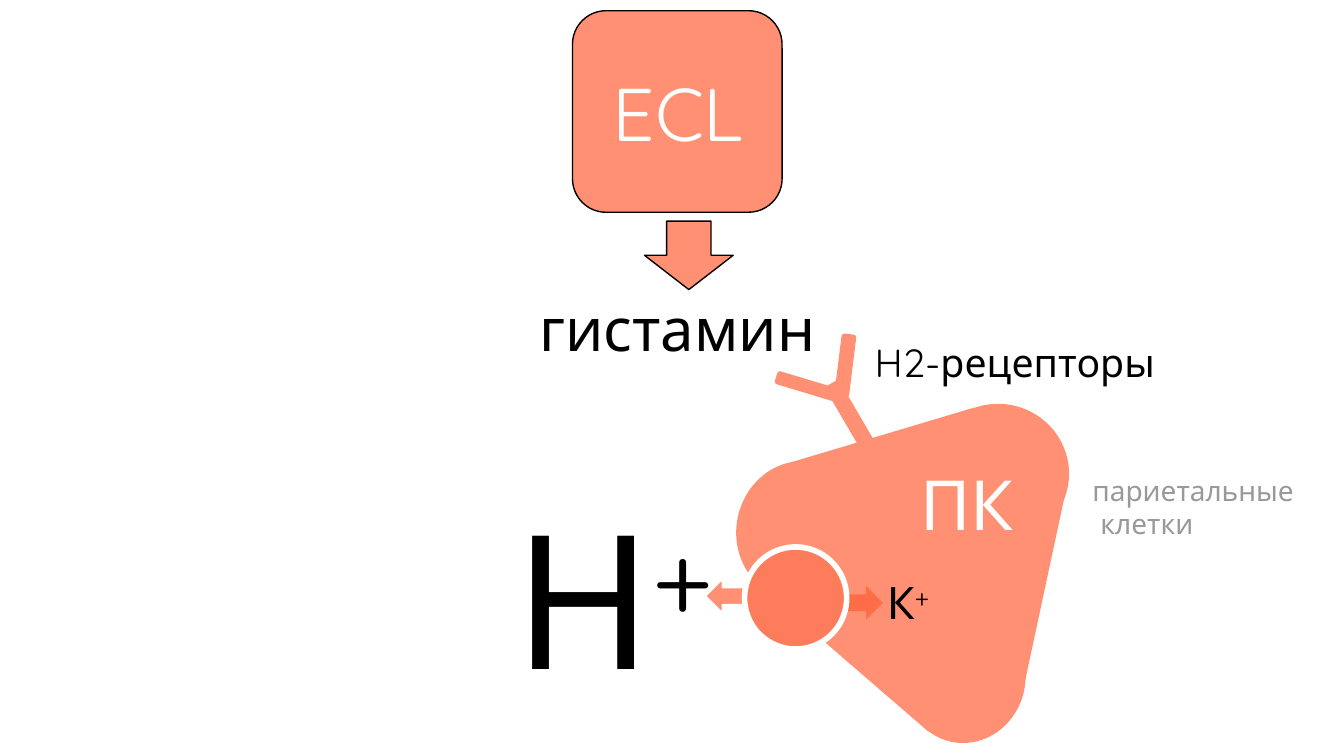
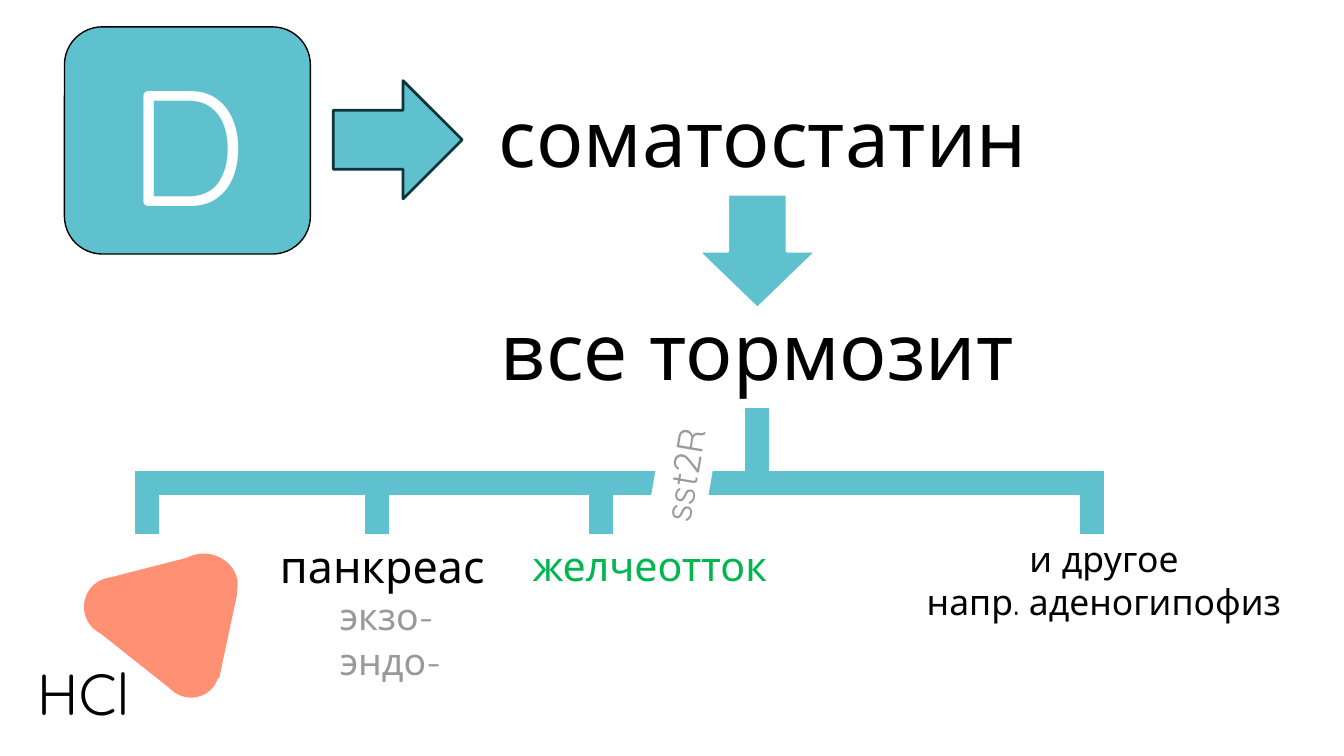
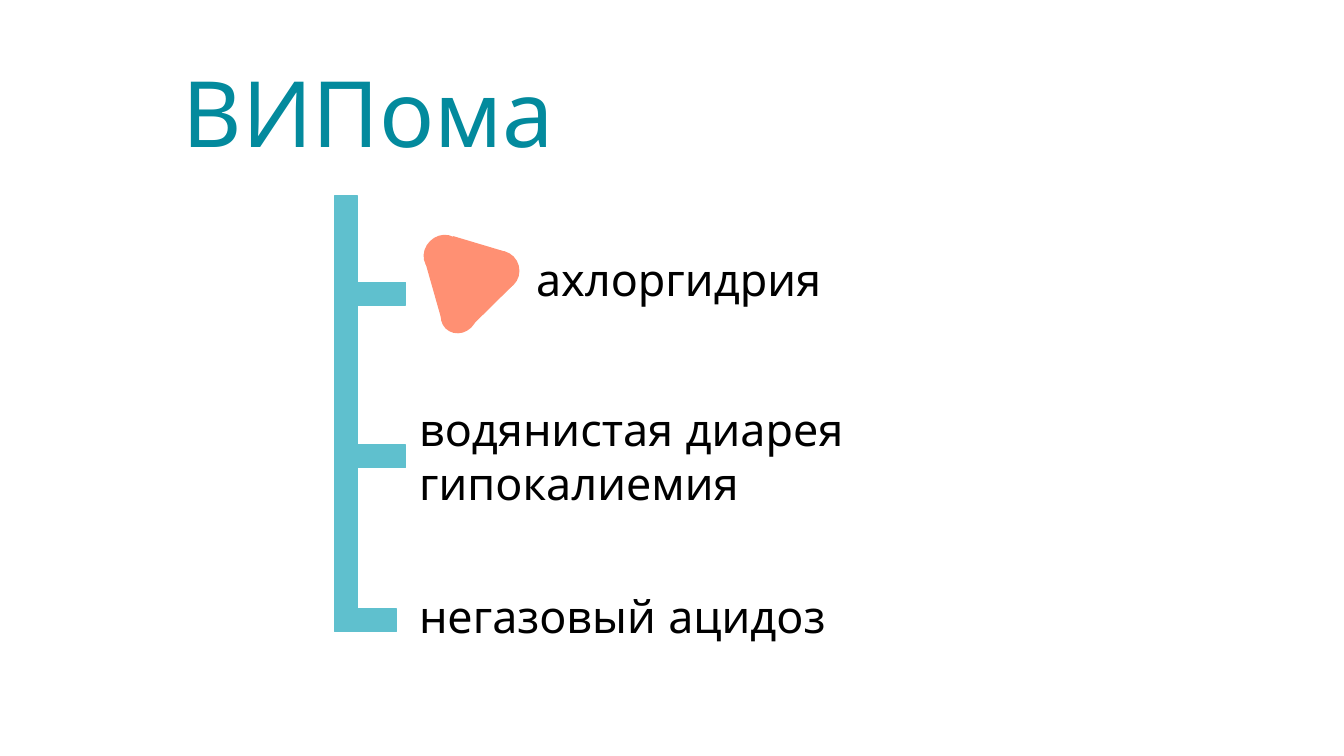
from pptx import Presentation
from pptx.dml.color import RGBColor
from pptx.enum.shapes import MSO_SHAPE as Preset
from pptx.enum.text import MSO_ANCHOR as Anchor, MSO_AUTO_SIZE as AutoSize, PP_ALIGN as Align
from pptx.util import Inches, Pt

FONT = "Quicksand"
BLACK, WHITE, GREY = "000000", "FFFFFF", "999999"
CORAL, DEEP_CORAL, PUMP = "FF9073", "FE6D47", "FD7C5B"
TEAL, DARK_TEAL, HEADING, GREEN = "5FC0CE", "0C343D", "038A9D", "00B64F"
BAR = 0.17
BRANCH = 0.46


def color(hex_code):
    return RGBColor.from_string(hex_code)


def write(holder, text, size=24, ink=BLACK, align=Align.LEFT, superscript=""):
    frame = holder.text_frame
    frame.word_wrap = True
    frame.auto_size = AutoSize.NONE
    frame.vertical_anchor = Anchor.MIDDLE
    frame.margin_left = frame.margin_right = Inches(0.1)
    frame.margin_top = frame.margin_bottom = Inches(0.1)
    for number, line in enumerate(text.split("\n")):
        paragraph = frame.add_paragraph() if number else frame.paragraphs[0]
        paragraph.alignment = align
        for part in filter(None, (line, superscript)):
            run = paragraph.add_run()
            run.text = part
            run.font.name = FONT
            run.font.size = Pt(size)
            run.font.color.rgb = color(ink)
            if part == superscript:
                run._r.get_or_add_rPr().set("baseline", "30000")
    return frame.paragraphs


class Deck:
    def __init__(self):
        self.show = Presentation()
        self.show.slide_width = Inches(10)
        self.show.slide_height = Inches(10) * 9 // 16
        self.slide = None

    def start(self, heading, box, **style):
        self.slide = self.show.slides.add_slide(self.show.slide_layouts[5])
        title = self.slide.shapes.title
        title.left, title.top, title.width, title.height = map(Inches, box)
        write(title, heading, **style)

    def label(self, text, box, **style):
        return write(self.slide.shapes.add_textbox(*map(Inches, box)), text, **style)

    def block(self, preset, box, fill, line=None, weight=0.75, turn=0, parent=None):
        shapes = (parent or self.slide).shapes
        block = shapes.add_shape(preset, *map(Inches, box))
        block.shadow.inherit = False
        block.rotation = turn
        block.fill.solid()
        block.fill.fore_color.rgb = color(fill)
        if line:
            block.line.color.rgb = color(line)
            block.line.width = Pt(weight)
        else:
            block.line.fill.background()
        return block

    def bar(self, left, top, length=BRANCH):
        self.block(Preset.RECTANGLE, (left, top, BAR, length), TEAL, TEAL)

    def crossbar(self, left, top, length=BRANCH):
        box = (left + (length - BAR) / 2, top - (length - BAR) / 2, BAR, length)
        self.block(Preset.RECTANGLE, box, TEAL, TEAL, turn=270)

    def parietal_cell(self, tilt, body, cuts, corners):
        cell = self.slide.shapes.add_group_shape()
        self.block(Preset.ISOSCELES_TRIANGLE, body, CORAL, CORAL, turn=tilt, parent=cell)
        for cut, offset in zip(cuts, (0, -60.1, 58.9)):
            self.block(Preset.ROUNDED_RECTANGLE, cut, WHITE, WHITE,
                       turn=(tilt + offset) % 360, parent=cell)
        for corner in corners:
            self.block(Preset.OVAL, corner, CORAL, CORAL, turn=tilt, parent=cell)

    def receptor(self, arms):
        receptor = self.slide.shapes.add_group_shape()
        for box, turn in arms:
            self.block(Preset.ROUNDED_RECTANGLE, box, CORAL, CORAL, turn=turn, parent=receptor)


def histamine(deck):
    deck.start("гистамин", (3.49, 2.19, 3.1, 0.5), size=32, align=Align.CENTER)
    deck.block(Preset.ROUNDED_RECTANGLE, (4.26, 0.08, 1.56, 1.5), CORAL, BLACK)
    deck.label("ECL", (3.9, 0.08, 2.29, 1.5), size=40, ink=WHITE, align=Align.CENTER)
    deck.block(Preset.RIGHT_ARROW, (4.87, 1.57, 0.51, 0.66), CORAL, BLACK, turn=90)
    deck.parietal_cell(
        282.1, (4.76, 2.58, 3.19, 2.91),
        cuts=[(4.4, 3.21, 1.65, 1.14), (7.1, 2.44, 1.76, 1.06), (6.64, 5.27, 1.76, 1.06)],
        corners=[(5.44, 3.48, 1.02, 0.93), (6.92, 3, 1.02, 1.04), (6.7, 4.6, 0.96, 0.89)])
    deck.receptor([((6.27, 2.82, 0.11, 0.54), 329.7),
                   ((5.96, 2.64, 0.09, 0.47), 286.8),
                   ((6.24, 2.49, 0.1, 0.46), 7.1)])
    deck.label("H2-рецепторы", (6.41, 2.37, 2.79, 0.65), size=21)
    deck.block(Preset.RIGHT_ARROW, (5.25, 4.31, 0.31, 0.25), CORAL, WHITE, turn=180)
    deck.block(Preset.RIGHT_ARROW, (6.3, 4.36, 0.27, 0.25), DEEP_CORAL)
    deck.block(Preset.OVAL, (5.54, 4.07, 0.76, 0.76), PUMP, WHITE, weight=3)
    deck.label("Н", (3.73, 3.63, 2.92, 1.59), size=100, superscript="+")
    deck.label("К", (6.5, 4.18, 1.32, 0.6), superscript="+")
    deck.label("ПК", (6.75, 3.42, 2.79, 0.65), size=37, ink=WHITE)
    cell_name = deck.label("париетальные\nклетки", (8.03, 3.13, 1.97, 1.28), size=15, ink=GREY)
    cell_name[1]._p.get_or_add_pPr().set("marL", str(Inches(0.06)))


def somatostatin(deck):
    deck.start("соматостатин", (3.61, 0.57, 5.15, 0.88), size=42)
    deck.block(Preset.ROUNDED_RECTANGLE, (0.48, 0.2, 1.83, 1.69), TEAL, BLACK)
    deck.label("D", (0.48, 0.72, 1.83, 0.65), size=88, ink=WHITE, align=Align.CENTER)
    deck.block(Preset.RIGHT_ARROW, (2.48, 0.6, 0.96, 0.88), TEAL, DARK_TEAL, weight=1.5)
    deck.block(Preset.RIGHT_ARROW, (5.21, 1.43, 0.85, 0.88), TEAL, WHITE, weight=1.5, turn=90)
    deck.label("все тормозит", (3.06, 2.16, 5.15, 0.88), size=42, align=Align.CENTER)
    deck.bar(5.55, 3.04)
    deck.crossbar(1.01, 3.51, 7.2)
    for left in (1.01, 2.72, 4.39, 8.04):
        deck.bar(left, 3.51)
    gate = deck.block(Preset.RECTANGLE, (4.6, 3.32, 0.97, 0.42), WHITE, turn=279.8)
    write(gate, "sst2R", size=20, ink=GREY, align=Align.CENTER)
    deck.parietal_cell(
        282, (0.37, 3.88, 1.34, 1.35),
        cuts=[(0.16, 4.17, 0.69, 0.53), (1.37, 3.89, 0.82, 0.45), (1.18, 5.08, 0.82, 0.45)],
        corners=[(0.63, 4.3, 0.43, 0.43), (1.31, 4.1, 0.43, 0.48), (1.22, 4.78, 0.4, 0.41)])
    deck.label("экзо-\nэндо-", (2.43, 4.39, 1.31, 0.72), size=20, ink=GREY)
    for target, box, size, ink in (
            ("HCl", (0.1, 4.71, 1.04, 0.88), 31, BLACK),
            ("панкреас", (1.88, 3.93, 1.93, 0.55), 24, BLACK),
            ("желчеотток", (3.66, 3.93, 2.35, 0.55), 22, GREEN),
            ("и другое\nнапр. аденогипофиз", (6.65, 3.97, 3.13, 0.69), 19, BLACK)):
        deck.label(target, box, size=size, ink=ink, align=Align.CENTER)


def vipoma(deck):
    deck.start("ВИПома", (1.26, 0.17, 7.29, 1.31), size=49, ink=HEADING)
    deck.parietal_cell(
        315.4, (2.93, 1.56, 0.9, 0.82),
        cuts=[(2.92, 1.58, 0.47, 0.32), (3.68, 1.83, 0.5, 0.3), (3.13, 2.42, 0.5, 0.3)],
        corners=[(3.15, 1.76, 0.29, 0.26), (3.57, 1.87, 0.29, 0.29), (3.28, 2.22, 0.27, 0.25)])
    deck.bar(2.49, 1.46, 3.23)
    for left, top in ((2.56, 2.1), (2.56, 3.31), (2.49, 4.53)):
        deck.crossbar(left, top)
    deck.label("ахлоргидрия", (3.39, 1.63, 3.32, 0.88), align=Align.CENTER)
    deck.label("водянистая диарея\nгипокалиемия", (3.02, 2.95, 4.55, 0.88))
    deck.label("негазовый ацидоз", (3.02, 4.14, 4.96, 0.88))


def main():
    deck = Deck()
    for build in (histamine, somatostatin, vipoma):
        build(deck)
    deck.show.save("out.pptx")


if __name__ == "__main__":
    main()
